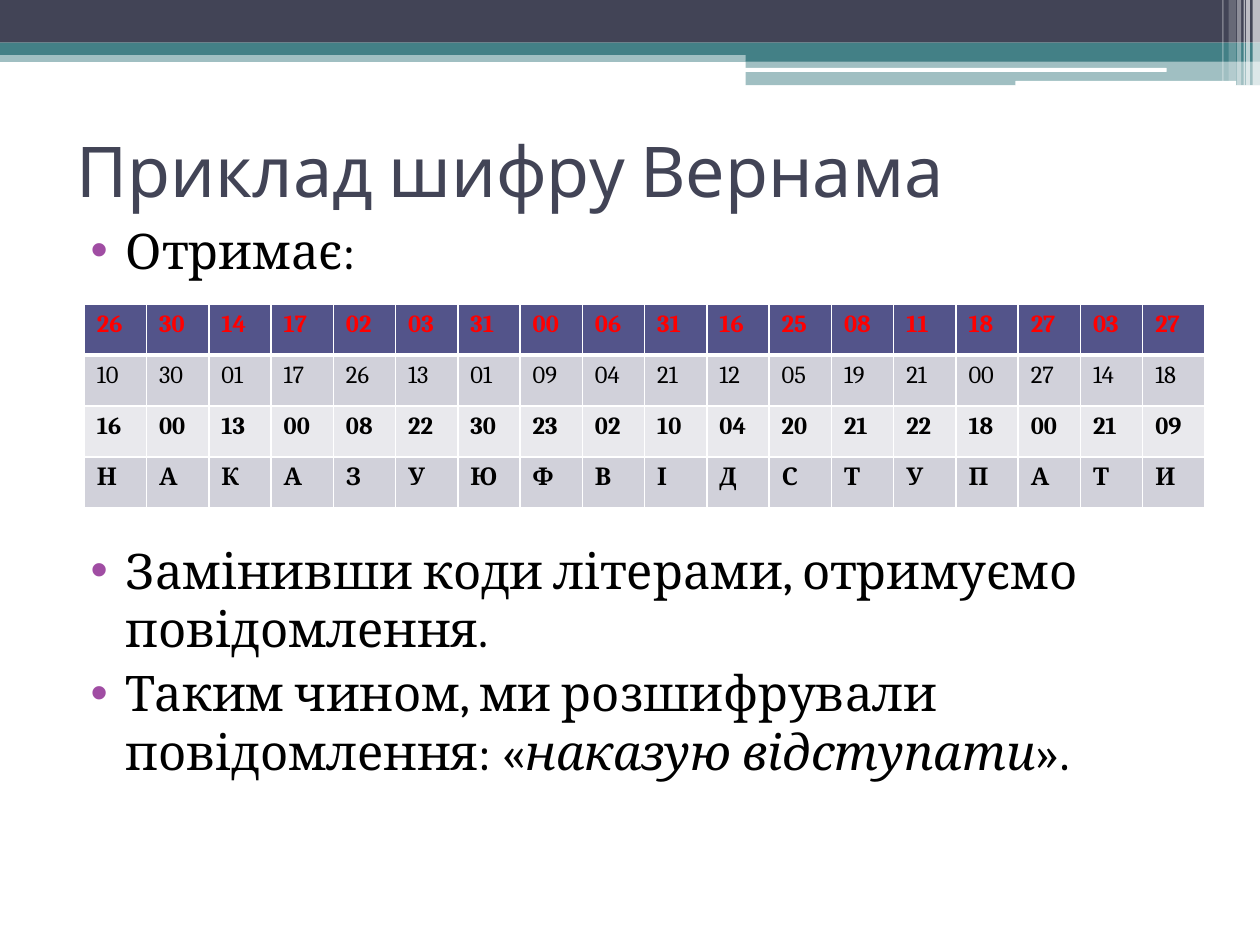
from lxml.etree import SubElement
from pptx import Presentation
from pptx.dml.color import RGBColor
from pptx.enum.shapes import MSO_SHAPE
from pptx.enum.text import MSO_ANCHOR
from pptx.oxml.ns import qn
from pptx.util import Cm, Pt

WHITE, BLACK, RED = "FFFFFF", "000000", "FF0000"
NAVY, TEAL, PURPLE = "424456", "438086", "A04DA3"
SERIF = "Cambria"

# left, top, width, height in cm, colour, opacity in percent
BARS = [
    (0, 1.02, 25.4, 0.23, TEAL, 50),
    (0, 0, 25.4, 0.86, NAVY, 100),
    (0, 0.86, 25.4, 0.25, TEAL, 100),
    (15.03, 0.99, 10.37, 0.25, TEAL, 100),
    (15.03, 1.22, 10.37, 0.5, TEAL, 50),
]
PILLS = [
    (15.01, 1.37, 8.51, 0.08, WHITE, 100),
    (20.47, 1.63, 4.45, 0.1, WHITE, 100),
]
# left, width, height in cm, opacity in percent
STRIPES = [
    (25.25, 0.15, 1.73, 65),
    (25.12, 0.08, 1.73, 65),
    (25.07, 0.03, 1.73, 60),
    (24.94, 0.08, 1.73, 40),
    (24.77, 0.15, 1.63, 20),
    (24.64, 0.03, 1.63, 30),
]
# values, fill, text format
ROWS = [
    ("26 30 14 17 02 03 31 00 06 31 16 25 08 11 18 27 03 27", "53548A",
     {"bold": True, "color": RED}),
    ("10 30 01 17 26 13 01 09 04 21 12 05 19 21 00 27 14 18", "D1D1DA",
     {"bold": False, "color": BLACK}),
    ("16 00 13 00 08 22 30 23 02 10 04 20 21 22 18 00 21 09", "E9E9ED",
     {"bold": True, "color": BLACK}),
    ("Н А К А З У Ю Ф В І Д С Т У П А Т И", "D1D1DA",
     {"bold": True, "color": BLACK}),
]
# space before in points, then runs of text and italic; the wide gap holds the table
POINTS = [
    (3, [("Отримає:", False)]),
    (149, [("Замінивши коди літерами, отримуємо повідомлення.", False)]),
    (3, [("Таким чином, ми розшифрували повідомлення: «", False),
         ("наказую відступати", True), ("».", False)]),
]


def rgb(code):
    return RGBColor.from_string(code)


def paint(fill, code, alpha=100):
    fill.solid()
    fill.fore_color.rgb = rgb(code)
    if alpha < 100:
        tint = fill._xPr.find(qn("a:solidFill"))[0]
        SubElement(tint, qn("a:alpha"), val=str(alpha * 1000))


def add_bar(slide, left, top, width, height, code, alpha,
            kind=MSO_SHAPE.RECTANGLE):
    bar = slide.shapes.add_shape(
        kind, Cm(left), Cm(top), Cm(width), Cm(height))
    bar.shadow.inherit = False
    bar.line.fill.background()
    paint(bar.fill, code, alpha)


def add_run(para, text, form):
    run = para.add_run()
    run.text = text
    for key, value in form.items():
        if key == "color":
            run.font.color.rgb = rgb(value)
        else:
            setattr(run.font, key, value)


def add_box(slide, left, top, width, height, anchor):
    box = slide.shapes.add_textbox(Cm(left), Cm(top), Cm(width), Cm(height))
    frame = box.text_frame
    frame.word_wrap = True
    frame.vertical_anchor = anchor
    return frame


def add_bullet(para):
    props = para._p.get_or_add_pPr()
    props.set("marL", str(Cm(1.02)))
    props.set("indent", str(Cm(-0.71)))
    tint = SubElement(props, qn("a:buClr"))
    SubElement(tint, qn("a:srgbClr"), val=PURPLE)
    SubElement(props, qn("a:buFont"), typeface="Arial")
    SubElement(props, qn("a:buChar"), char="•")


def add_points(slide):
    frame = add_box(slide, 1.27, 4.32, 22.86, 13.94, MSO_ANCHOR.TOP)
    for i, (gap, runs) in enumerate(POINTS):
        para = frame.add_paragraph() if i else frame.paragraphs[0]
        para.space_before = Pt(gap)
        add_bullet(para)
        for text, slant in runs:
            add_run(para, text, {"name": SERIF, "size": Pt(28),
                                 "color": BLACK, "italic": slant})


def set_edges(cell, widths):
    """Draw white cell borders, given as side and width in points."""
    props = cell._tc.get_or_add_tcPr()
    for i, (side, width) in enumerate(widths.items()):
        edge = props.makeelement(qn("a:ln" + side), {"w": str(Pt(width))})
        tint = SubElement(edge, qn("a:solidFill"))
        SubElement(tint, qn("a:srgbClr"), val=WHITE)
        props.insert(i, edge)


def add_grid(slide):
    count = len(ROWS[0][0].split())
    table = slide.shapes.add_table(
        len(ROWS), count, Cm(1.7), Cm(6.13), Cm(22.6), Cm(4.11)).table
    for col in table.columns:
        col.width = Cm(22.6 / count)
    for r, (values, code, form) in enumerate(ROWS):
        edges = {"L": 1, "R": 1, "T": 3 if r == 1 else 1, "B": 1 if r else 3}
        for c, value in enumerate(values.split()):
            cell = table.cell(r, c)
            paint(cell.fill, code)
            set_edges(cell, edges)
            add_run(cell.text_frame.paragraphs[0], value,
                    {"name": SERIF, "size": Pt(14), **form})


def main():
    deck = Presentation()
    deck.slide_width, deck.slide_height = Cm(25.4), Cm(19.05)
    slide = deck.slides.add_slide(deck.slide_layouts[6])
    for bar in BARS:
        add_bar(slide, *bar)
    for pill in PILLS:
        add_bar(slide, *pill, kind=MSO_SHAPE.ROUNDED_RECTANGLE)
    for left, width, height, alpha in STRIPES:
        add_bar(slide, left, 0, width, height, WHITE, alpha)
    title = add_box(slide, 1.3, 1.93, 22.86, 2.97, MSO_ANCHOR.MIDDLE)
    add_run(title.paragraphs[0], "Приклад шифру Вернама",
            {"name": "Cabin", "size": Pt(40), "color": NAVY})
    add_points(slide)
    add_grid(slide)
    deck.save("out.pptx")


if __name__ == "__main__":
    main()
